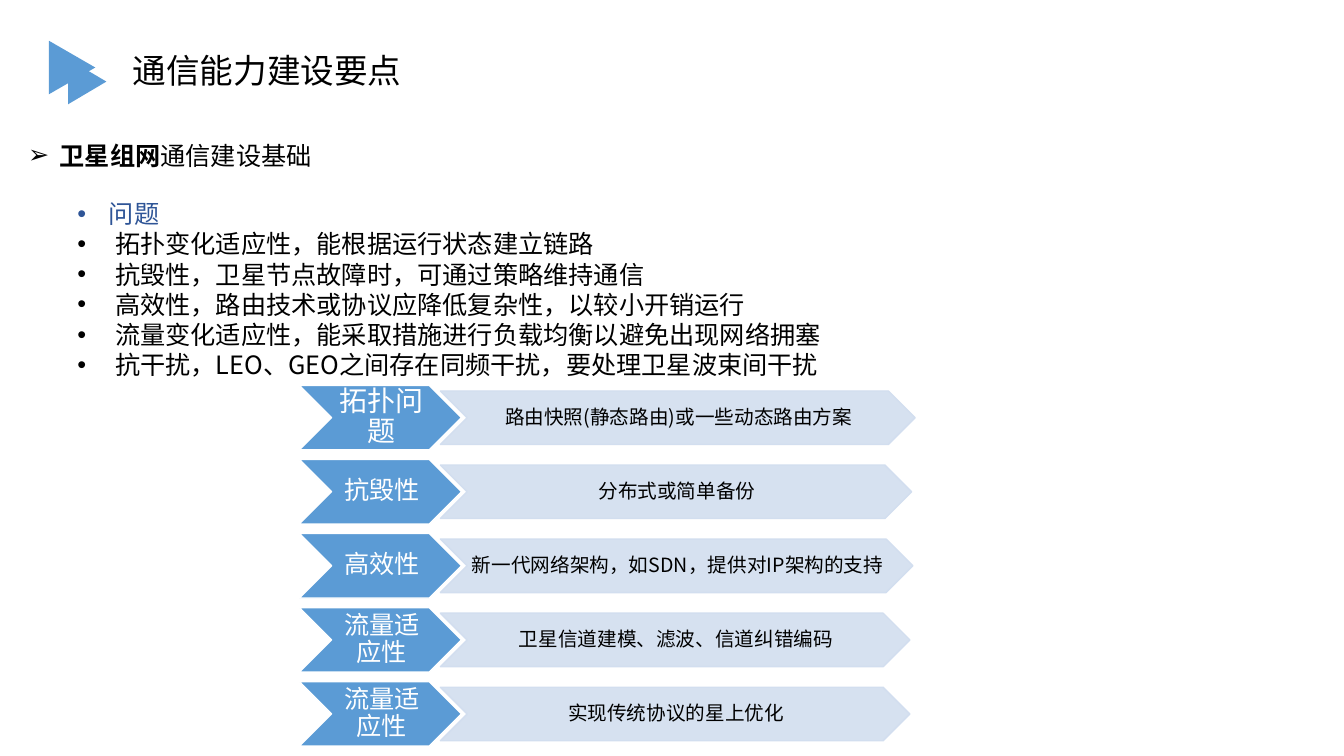
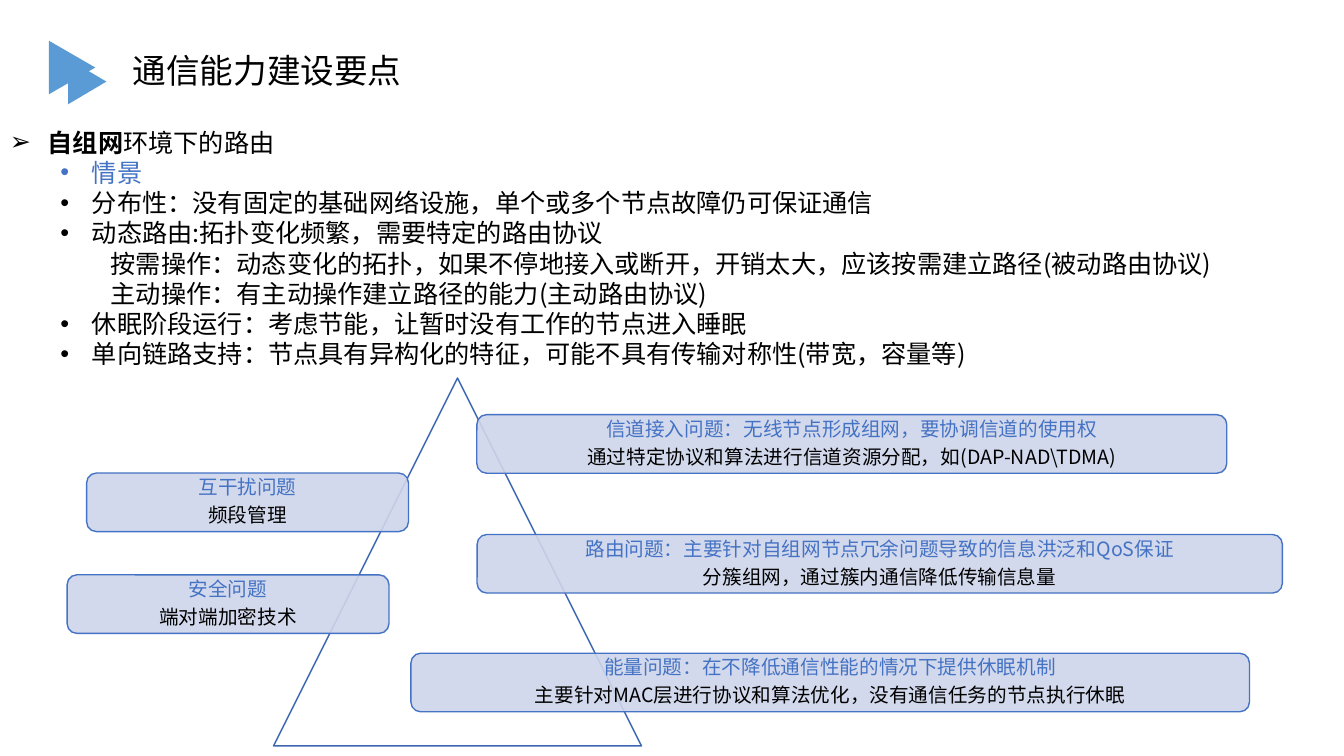
from lxml import etree
from pptx import Presentation
from pptx.dml.color import RGBColor
from pptx.enum import shapes, text
from pptx.oxml import ns
from pptx.util import Pt

COLORS = {
    "arrow": "5B9BD5", "band": "D2DEEF", "card": "CFD5EA", "blue": "4472C4",
    "outline": "3E67B2", "topic": "2F5597", "ink": "000000", "paper": "FFFFFF",
}
SANS = "Noto Sans CJK SC"
TITLE = "通信能力建设要点"
TITLE_MARKS = [(32.4, 31.7, 38.2, 33.1), (46.1, 44.6, 32.4, 27.4)]
CENTERED = {"alignment": text.PP_ALIGN.CENTER, "line_spacing": 0.9, "space_after": Pt(4.9)}
BODY_FRAME = {"word_wrap": True, "auto_size": text.MSO_AUTO_SIZE.SHAPE_TO_FIT_TEXT}
TRIANGLE = shapes.MSO_SHAPE.ISOSCELES_TRIANGLE
CHEVRON = shapes.MSO_SHAPE.CHEVRON
CARD = shapes.MSO_SHAPE.ROUNDED_RECTANGLE

SATELLITE_POINTS = [
    "拓扑变化适应性，能根据运行状态建立链路",
    "抗毁性，卫星节点故障时，可通过策略维持通信",
    "高效性，路由技术或协议应降低复杂性，以较小开销运行",
    "流量变化适应性，能采取措施进行负载均衡以避免出现网络拥塞",
    "抗干扰，LEO、GEO之间存在同频干扰，要处理卫星波束间干扰",
]
SOLUTIONS = [
    ("拓扑问题", 20, "路由快照(静态路由)或一些动态路由方案", 339.1),
    ("抗毁性", 18, "分布式或简单备份", 336.6),
    ("高效性", 18, "新一代网络架构，如SDN，提供对IP架构的支持", 337.5),
    ("流量适应性", 18, "卫星信道建模、滤波、信道纠错编码", 335.4),
    ("流量适应性", 18, "实现传统协议的星上优化", 335.4),
]
ADHOC_POINTS = [
    (1, "分布性：没有固定的基础网络设施，单个或多个节点故障仍可保证通信"),
    (1, "动态路由:拓扑变化频繁，需要特定的路由协议"),
    (2, "按需操作：动态变化的拓扑，如果不停地接入或断开，开销太大，应该按需建立路径(被动路由协议)"),
    (2, "主动操作：有主动操作建立路径的能力(主动路由协议)"),
    (1, "休眠阶段运行：考虑节能，让暂时没有工作的节点进入睡眠"),
    (1, "单向链路支持：节点具有异构化的特征，可能不具有传输对称性(带宽，容量等)"),
]
ADHOC_ISSUES = [
    (340.6, 296.2, 535.7, "信道接入问题：无线节点形成组网，要协调信道的使用权",
     "通过特定协议和算法进行信道资源分配，如(DAP-NAD\\TDMA)"),
    (61.9, 337.9, 229.9, "互干扰问题", "频段管理"),
    (48, 410.6, 229.9, "安全问题", "端对端加密技术"),
    (340.8, 381.8, 575.2, "路由问题：主要针对自组网节点冗余问题导致的信息洪泛和QoS保证",
     "分簇组网，通过簇内通信降低传输信息量"),
    (293.5, 466.6, 599, "能量问题：在不降低通信性能的情况下提供休眠机制",
     "主要针对MAC层进行协议和算法优化，没有通信任务的节点执行休眠"),
]


def apply(target, values):
    for name, value in values.items():
        setattr(target, name, value)


def rgb(color):
    return RGBColor.from_string(COLORS[color])


def margins(left, top, right, bottom):
    sides = zip(("left", "top", "right", "bottom"), (left, top, right, bottom))
    return {f"margin_{side}": Pt(size) for side, size in sides}


def add_run(paragraph, words, size, color, bold=False, font=SANS):
    run = paragraph.add_run()
    run.text = words
    apply(run.font, {"size": Pt(size), "bold": bold, "name": font})
    run.font.color.rgb = rgb(color)
    east_asian = etree.SubElement(run.font._element, ns.qn("a:ea"))
    east_asian.set("typeface", SANS)


def set_bullet(paragraph, left, hanging, mark):
    properties = paragraph._p.get_or_add_pPr()
    properties.set("marL", str(Pt(left)))
    properties.set("indent", str(-Pt(hanging)))
    if mark:
        etree.SubElement(properties, ns.qn("a:buFont")).set("typeface", "Arial")
        etree.SubElement(properties, ns.qn("a:buChar")).set("char", mark)


def fill_frame(frame, lines, settings):
    apply(frame, settings)
    for index, (runs, indent) in enumerate(lines):
        paragraph = frame.paragraphs[0] if index == 0 else frame.add_paragraph()
        if indent:
            set_bullet(paragraph, *indent)
        for run in runs:
            add_run(paragraph, *run)


def add_text(slide, box, lines, settings=BODY_FRAME):
    frame = slide.shapes.add_textbox(*map(Pt, box)).text_frame
    fill_frame(frame, lines, settings)


def add_figure(slide, kind, box, fill, line=None, opacity=100):
    figure = slide.shapes.add_shape(kind, *map(Pt, box))
    figure.shadow.inherit = False
    figure.fill.solid()
    figure.fill.fore_color.rgb = rgb(fill)
    if opacity < 100:
        tint = figure.element.spPr.find(".//" + ns.qn("a:srgbClr"))
        etree.SubElement(tint, ns.qn("a:alpha")).set("val", str(opacity * 1000))
    if line:
        figure.line.color.rgb = rgb(line)
        figure.line.width = Pt(1)
    else:
        figure.line.fill.background()
    return figure


def label(figure, lines, insets):
    settings = {"word_wrap": True, "vertical_anchor": text.MSO_ANCHOR.MIDDLE, **margins(*insets)}
    fill_frame(figure.text_frame, [([line], None) for line in lines], settings)
    for paragraph in figure.text_frame.paragraphs:
        apply(paragraph, CENTERED)


def add_titled_slide(deck):
    slide = deck.slides.add_slide(deck.slide_layouts[6])
    add_text(slide, (87.8, 32.4, 233.3, 51.1),
             [([(TITLE, 24, "ink", False, "Calibri")], None)], {"word_wrap": True})
    for box in TITLE_MARKS:
        add_figure(slide, TRIANGLE, box, "arrow").rotation = 90
    return slide


def add_solution(slide, top, name, size, answer, width):
    problem = add_figure(slide, CHEVRON, (213.8, top, 115.9, 46.1), "arrow", "paper")
    label(problem, [(name, size, "paper")], (2, 1, 0, 1))
    solution = add_figure(slide, CHEVRON, (314.6, top + 4, width, 38.2), "band", "band", 90)
    label(solution, [(answer, 14, "ink")], (1.4, 1, 0, 1))


def add_issue(slide, left, top, width, issue, answer):
    card = add_figure(slide, CARD, (left, top, width, 41.8), "card", "blue", 90)
    label(card, [(issue, 14, "blue"), (answer, 14, "ink")], (4.2, 4.2, 4.2, 4.2))


def build_satellite(deck):
    slide = add_titled_slide(deck)
    points = [([("问题", 18, "topic")], (22.5, 22.5, "•"))]
    points += [([(point, 18, "ink")], (27, 27, "•")) for point in SATELLITE_POINTS]
    add_text(slide, (48.2, 138.2, 933.8, 138.2), points)
    heading = [("卫星组网", 18, "ink", True), ("通信建设基础", 18, "ink")]
    add_text(slide, (13, 96.5, 350.6, 28.8), [(heading, (22.5, 22.5, "➢"))])
    for row, solution in enumerate(SOLUTIONS):
        add_solution(slide, 275.3 + 52.9 * row, *solution)


def build_adhoc(deck):
    slide = add_titled_slide(deck)
    indents = {1: (58.5, 22.5, "•"), 2: (72, 0, None)}
    heading = [("自组网", 18, "ink", True), ("环境下的路由", 18, "ink")]
    points = [(heading, (27, 27, "➢")), ([("情景", 18, "blue")], indents[1])]
    points += [([(point, 18, "ink")], indents[level]) for level, point in ADHOC_POINTS]
    add_text(slide, (0, 87.1, 915.8, 225.4), points)
    add_figure(slide, TRIANGLE, (195.4, 270, 262.8, 262.8), "paper", "outline")
    for issue in ADHOC_ISSUES:
        add_issue(slide, *issue)


def main():
    deck = Presentation()
    apply(deck, {"slide_width": Pt(960), "slide_height": Pt(540)})
    build_satellite(deck)
    build_adhoc(deck)
    deck.save("out.pptx")


main()
